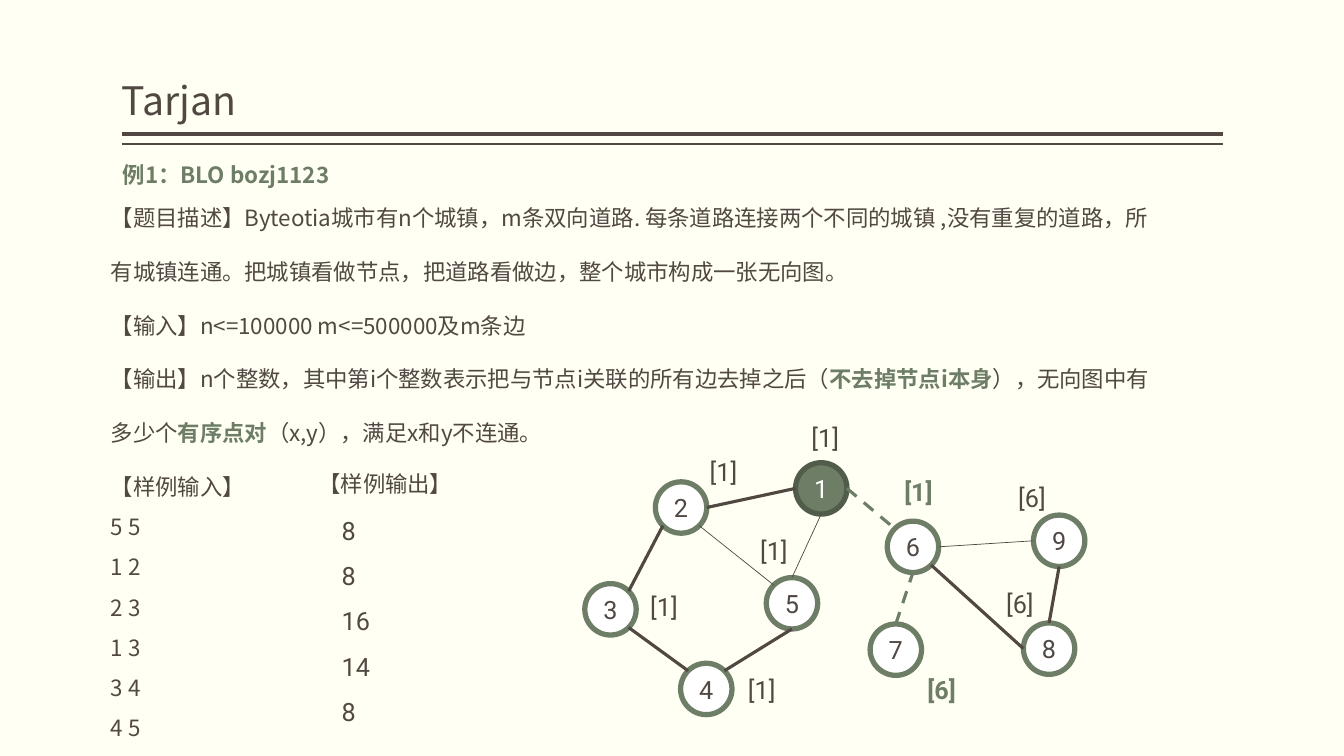
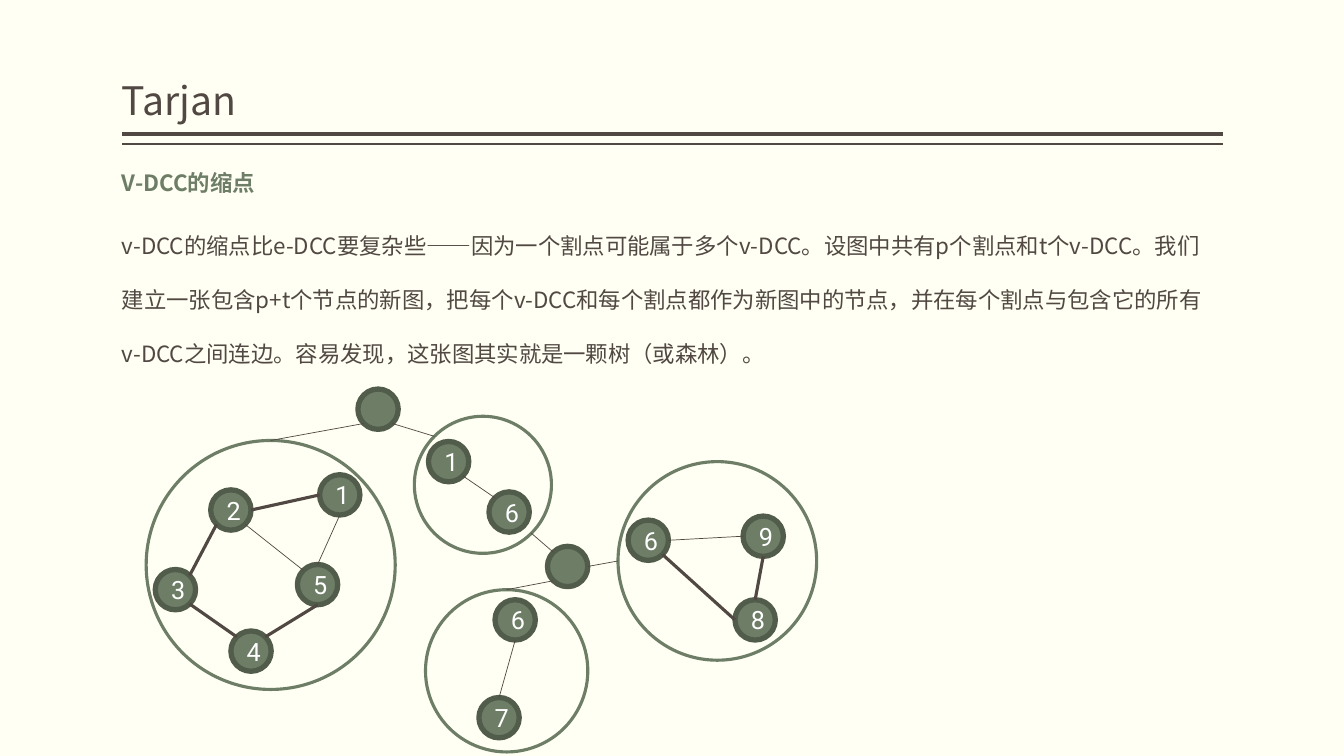
"""Build two slides on Tarjan's algorithm: a cut-vertex exercise and v-DCC contraction."""
import math

import lxml.etree
import pptx
import pptx.dml.color
import pptx.enum.dml
import pptx.enum.shapes
import pptx.enum.text
import pptx.oxml.ns
import pptx.util

Inches, Pt = pptx.util.Inches, pptx.util.Pt
CREAM, BROWN, GREEN, DARK_GREEN, WHITE = "FFFFF3", "514843", "6D7D66", "515C4B", "FFFFFF"
TEXT_FONT, NUMBER_FONT = "Noto Sans CJK SC", "Roboto"
TITLE = "Tarjan"
LEFT, RIGHT = 1.21, 12.13
TITLE_RULES = [(1.33, 3), (1.43, 1)]
SITES = ["N", "NW", "W", "SW", "S", "SE", "E", "NE"]
EDGE_STYLES = {"thick": (BROWN, 2.25), "thin": (BROWN, 0.5), "dashed": (GREEN, 2.25)}

EXERCISE_HEADING = "例1：BLO bozj1123"
EXERCISE = [
    "【题目描述】Byteotia城市有n个城镇，m条双向道路. 每条道路连接两个不同的城镇 ,没有重复的道路，"
    "所有城镇连通。把城镇看做节点，把道路看做边，整个城市构成一张无向图。",
    "【输入】n<=100000 m<=500000及m条边",
    "【输出】n个整数，其中第i个整数表示把与节点i关联的所有边去掉之后（**不去掉节点i本身**），"
    "无向图中有多少个**有序点对**（x,y），满足x和y不连通。",
    "【样例输入】",
]
SAMPLE_INPUT = ["5 5", "1 2", "2 3", "1 3", "3 4", "4 5"]
OUTPUT_HEADING = "【样例输出】"
SAMPLE_OUTPUT = ["8", "8", "16", "14", "8"]

CONTRACTION_HEADING = "V-DCC的缩点"
CONTRACTION = (
    "v-DCC的缩点比e-DCC要复杂些——因为一个割点可能属于多个v-DCC。设图中共有p个割点和t个v-DCC。"
    "我们建立一张包含p+t个节点的新图，把每个v-DCC和每个割点都作为新图中的节点，"
    "并在每个割点与包含它的所有v-DCC之间连边。容易发现，这张图其实就是一颗树（或森林）。"
)

PENTAGON_EDGES = [
    ("2", "SW", "3", "NE", "thick"), ("5", "S", "4", "NE", "thick"),
    ("3", "SE", "4", "NW", "thick"), ("1", "W", "2", "E", "thick"),
    ("2", "SE", "5", "NW", "thin"), ("5", "N", "1", "S", "thin"),
]
TRIANGLE_EDGES = [
    ("6", "E", "9", "W", "thin"), ("9", "S", "8", "N", "thick"), ("6", "SE", "8", "W", "thick"),
]
BRIDGES = [("1", "E", "6", "NW", "dashed"), ("7", "N", "6", "S", "dashed")]

TOWN_SIZE, VERTEX_SIZE = 0.51, 0.4
TOWNS = {
    "1": (7.89, 4.59), "2": (6.5, 4.78), "3": (5.8, 5.79), "4": (6.75, 6.58), "5": (7.6, 5.73),
    "6": (8.8, 5.17), "7": (8.63, 6.19), "8": (10.15, 6.18), "9": (10.25, 5.11),
}
LOW_VALUES = [
    ("[1]", 7.95, 4.14, False), ("[1]", 6.94, 4.48, False), ("[1]", 6.35, 5.82, False),
    ("[1]", 7.32, 6.64, False), ("[1]", 7.44, 5.26, False), ("[1]", 8.87, 4.68, True),
    ("[6]", 9.1, 6.64, True), ("[6]", 10, 4.74, False), ("[6]", 9.88, 5.79, False),
]

COMPONENTS = {
    "pentagon": ((1.45, 4.37, 2.47), PENTAGON_EDGES, {
        "1": (3.17, 4.71), "2": (2.09, 4.86), "3": (1.54, 5.65), "4": (2.29, 6.26), "5": (2.95, 5.6)}),
    "pair 1-6": ((4.11, 4.13, 1.36), [("1", "SE", "6", "NW", "thin")], {
        "1": (4.25, 4.38), "6": (4.85, 4.88)}),
    "triangle": ((6.13, 4.58, 1.97), TRIANGLE_EDGES, {
        "6": (6.23, 5.16), "8": (7.29, 5.95), "9": (7.37, 5.12)}),
    "pair 6-7": ((4.22, 5.85, 1.61), [("7", "N", "6", "S", "thin")], {
        "6": (4.91, 5.95), "7": (4.75, 6.92)}),
}
CUT_VERTICES = {"cut 1": (3.55, 3.86, VERTEX_SIZE), "cut 6": (5.43, 5.42, VERTEX_SIZE)}
TREE_EDGES = [
    ("pentagon", "N", "cut 1", "SW", "thin"), ("cut 1", "SE", "pair 1-6", "NW", "thin"),
    ("pair 1-6", "SE", "cut 6", "NW", "thin"), ("pair 6-7", "N", "cut 6", "SW", "thin"),
    ("cut 6", "E", "triangle", "W", "thin"),
]


def rgb(colour):
    return pptx.dml.color.RGBColor.from_string(colour)


def style_paragraph(paragraph, size, font=TEXT_FONT, colour=BROWN, bold=False, spacing=None):
    paragraph.line_spacing = spacing
    paragraph.font.size = Pt(size)
    paragraph.font.bold = bold
    paragraph.font.color.rgb = rgb(colour)
    paragraph.font.name = font
    defaults = paragraph.font._element
    lxml.etree.SubElement(defaults, pptx.oxml.ns.qn("a:ea"), typeface=font)


def add_emphasised(paragraph, text):
    for index, part in enumerate(text.split("**")):
        run = paragraph.add_run()
        run.text = part
        if index % 2:
            run.font.bold = True
            run.font.color.rgb = rgb(GREEN)


def add_text(slide, box, lines, size=16, **style):
    frame = slide.shapes.add_textbox(*map(Inches, box)).text_frame
    frame.word_wrap = True
    add_lines(frame, lines, size, **style)
    return frame


def add_lines(frame, lines, size=16, **style):
    for text in lines:
        first = frame.paragraphs[0]
        paragraph = frame.add_paragraph() if first.runs else first
        add_emphasised(paragraph, text)
        style_paragraph(paragraph, size, **style)


def add_line(slide, start, end, colour, width, dashed=False):
    line = slide.shapes.add_connector(
        pptx.enum.shapes.MSO_CONNECTOR.STRAIGHT, *map(Inches, (*start, *end)))
    line.line.color.rgb = rgb(colour)
    line.line.width = Pt(width)
    if dashed:
        line.line.dash_style = pptx.enum.dml.MSO_LINE.DASH
    lxml.etree.SubElement(line.element.spPr, pptx.oxml.ns.qn("a:effectLst"))
    return line


def add_circle(slide, circle, fill, outline, width=3.78, label="", colour=WHITE):
    left, top, size = circle
    shape = slide.shapes.add_shape(
        pptx.enum.shapes.MSO_SHAPE.OVAL, *map(Inches, (left, top, size, size)))
    shape.shadow.inherit = False
    if fill:
        shape.fill.solid()
        shape.fill.fore_color.rgb = rgb(fill)
    else:
        shape.fill.background()
    shape.line.color.rgb = rgb(outline)
    shape.line.width = Pt(width)
    if label:
        add_lines(shape.text_frame, [label], 18, font=NUMBER_FONT, colour=colour)
        shape.text_frame.paragraphs[0].alignment = pptx.enum.text.PP_ALIGN.CENTER


def site_point(circle, site):
    left, top, size = circle
    angle = math.radians(90 + 45 * SITES.index(site))
    radius = size / 2
    return left + radius + radius * math.cos(angle), top + radius - radius * math.sin(angle)


def add_edges(slide, circles, edges):
    for source, source_site, target, target_site, style in edges:
        add_line(slide, site_point(circles[source], source_site),
                 site_point(circles[target], target_site), *EDGE_STYLES[style], style == "dashed")


def add_graph(slide, places, size, edges, dark):
    circles = {label: (*place, size) for label, place in places.items()}
    for label, circle in circles.items():
        fill, outline, colour = (GREEN, DARK_GREEN, WHITE) if label in dark else (WHITE, GREEN, BROWN)
        add_circle(slide, circle, fill, outline, label=label, colour=colour)
    add_edges(slide, circles, edges)


def prepare_master(deck):
    background = deck.slide_master.background.fill
    background.solid()
    background.fore_color.rgb = rgb(CREAM)
    layout = deck.slide_layouts.get_by_name("Title Only")
    title = layout.placeholders[0]
    title.left, title.top, title.width, title.height = map(Inches, (LEFT, 0.08, RIGHT - LEFT, 1.2))
    return layout


def add_titled_slide(deck, layout):
    slide = deck.slides.add_slide(layout)
    frame = slide.shapes.title.text_frame
    frame.margin_left = frame.margin_right = 0
    frame.vertical_anchor = pptx.enum.text.MSO_ANCHOR.BOTTOM
    frame.auto_size = pptx.enum.text.MSO_AUTO_SIZE.NONE
    add_lines(frame, [TITLE], 28, spacing=0.9)
    frame.paragraphs[0].alignment = pptx.enum.text.PP_ALIGN.LEFT
    return slide


def add_title_rules(slide, master):
    for height, width in TITLE_RULES:
        rule = add_line(slide, (LEFT, height), (RIGHT, height), BROWN, width)
        master.shapes.element.append(rule.element)


def build_exercise(slide):
    add_text(slide, (1.12, 1.28, 11, 1.31), [EXERCISE_HEADING], colour=GREEN, bold=True, spacing=2)
    statement = add_text(slide, (1, 1.71, 10.58, 5.71), EXERCISE, spacing=2)
    add_lines(statement, SAMPLE_INPUT, spacing=1.5)
    add_text(slide, (3.29, 4.91, 2.3, 2.31), SAMPLE_OUTPUT, 18, font=NUMBER_FONT, spacing=1.5)
    add_text(slide, (3.06, 4.35, 2.5, 0.56), [OUTPUT_HEADING], spacing=2)
    add_graph(slide, TOWNS, TOWN_SIZE, PENTAGON_EDGES + BRIDGES + TRIANGLE_EDGES, dark={"1"})
    for value, left, top, is_bridge in LOW_VALUES:
        add_text(slide, (left, top, 0.51, 0.4), [value], 18, font=NUMBER_FONT,
                 colour=GREEN if is_bridge else BROWN, bold=is_bridge)


def build_contraction(slide):
    frame = add_text(slide, (1.11, 1.36, 10.92, 2.31), [CONTRACTION_HEADING],
                     colour=GREEN, bold=True, spacing=2)
    add_lines(frame, [CONTRACTION], spacing=2)
    frame.paragraphs[1].space_before = Pt(7)
    tree = dict(CUT_VERTICES)
    for name, (outline, edges, places) in COMPONENTS.items():
        tree[name] = outline
        add_graph(slide, places, VERTEX_SIZE, edges, dark=places)
        add_circle(slide, outline, None, GREEN, 2.25)
    for cut_vertex in CUT_VERTICES.values():
        add_circle(slide, cut_vertex, GREEN, DARK_GREEN)
    add_edges(slide, tree, TREE_EDGES)


def main():
    deck = pptx.Presentation()
    deck.slide_width, deck.slide_height = Inches(13.33), Inches(7.5)
    layout = prepare_master(deck)
    exercise, contraction = (add_titled_slide(deck, layout) for _ in range(2))
    add_title_rules(exercise, deck.slide_master)
    build_exercise(exercise)
    build_contraction(contraction)
    deck.save("out.pptx")


if __name__ == "__main__":
    main()
